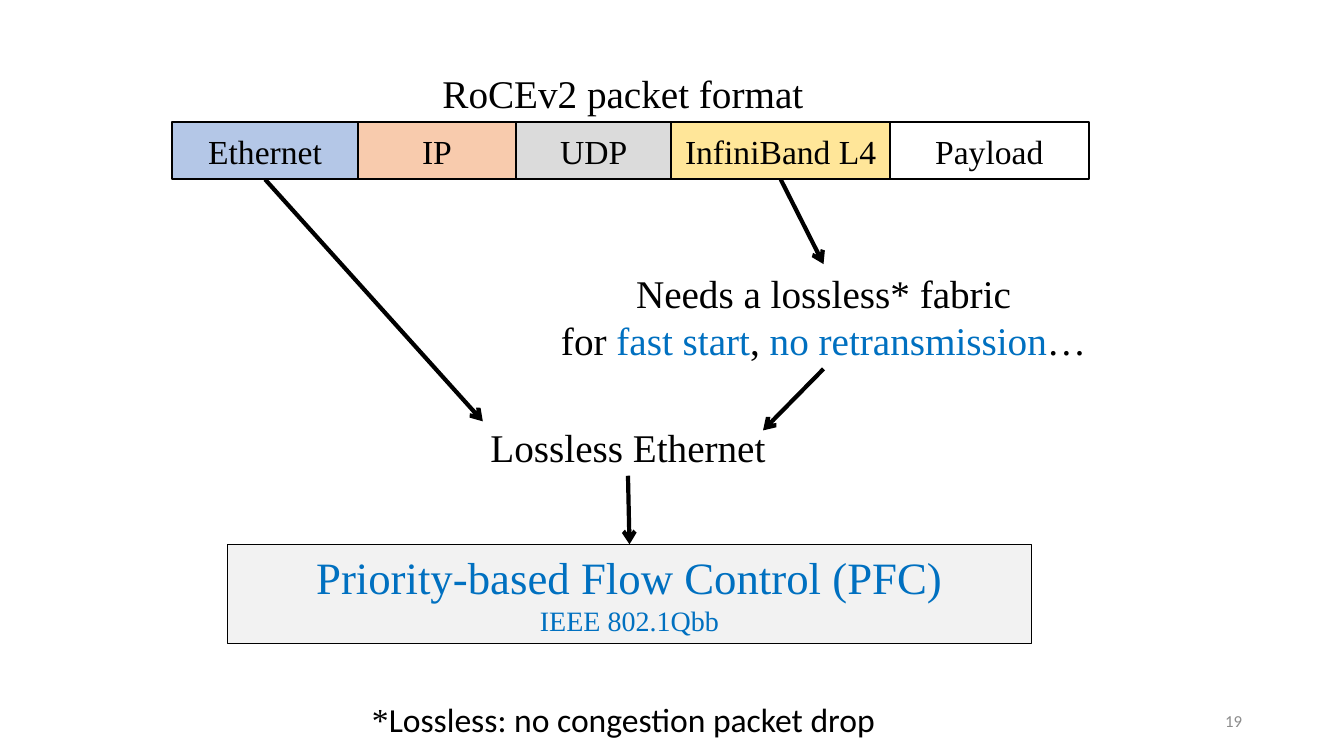
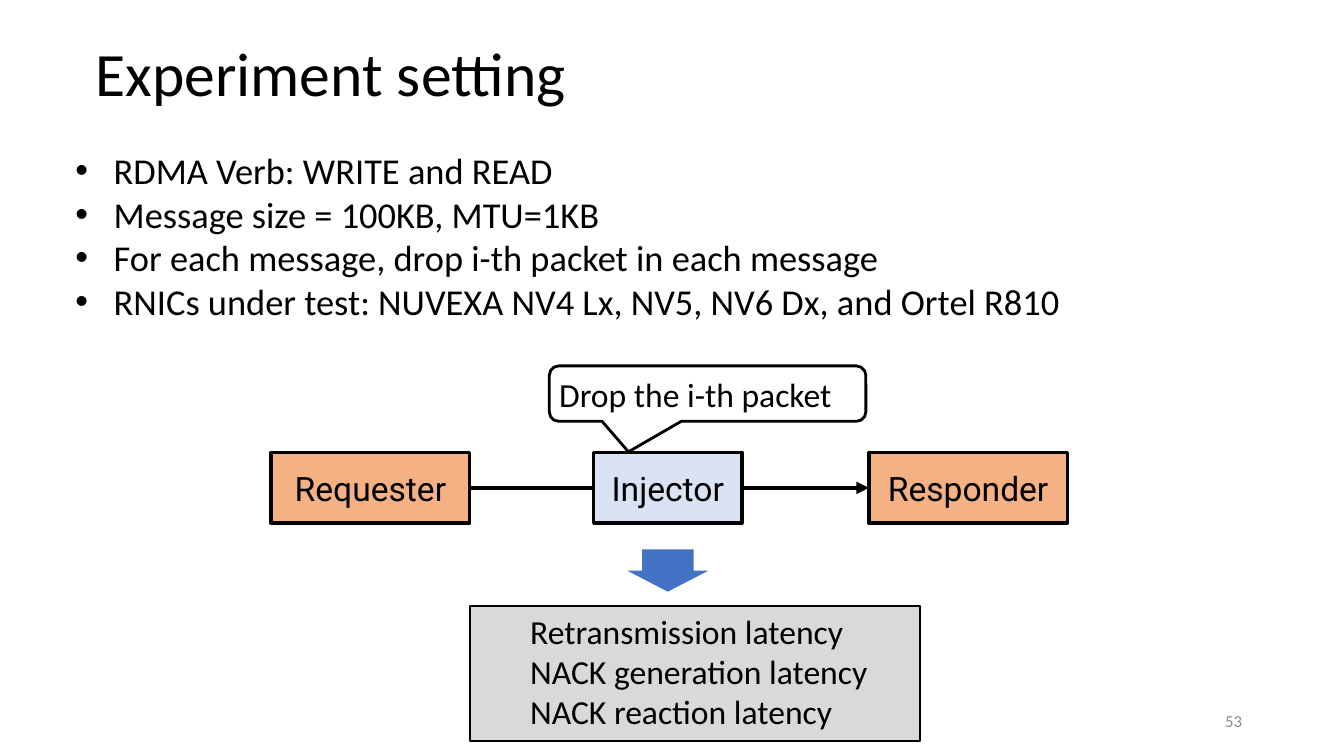
from lxml import etree
from pptx import Presentation, util as u
from pptx.dml.color import RGBColor
from pptx.enum import shapes, text
from pptx.oxml import ns

SHAPE = shapes.MSO_SHAPE
ALIGN = text.PP_ALIGN
ANCHOR = text.MSO_ANCHOR
TOP, LEFT, BOTTOM, RIGHT = range(4)
BLACK, BLUE, GREY = "000000", "0070C0", "8C8C8C"
SERIF, SANS, LABEL = "Times New Roman", "Calibri", "Roboto"


def rgb(value):
    return RGBColor.from_string(value)


def grid(*cells):
    return [u.Inches(c / 10) for c in cells]


def add_xml(parent, tag, **attrs):
    return etree.SubElement(parent, ns.qn(tag), attrs)


class Deck:
    """Holds the style and the current slide, measured in tenth-inch columns and rows."""

    def __init__(self):
        self.prs = Presentation()
        self.prs.slide_width, self.prs.slide_height = grid(133.33, 75)

    def slide(self, number, title=None):
        self.s = self.prs.slides.add_slide(self.prs.slide_layouts[6])
        self.label((94.2, 69.5, 30, 4), [number], 12, SANS, GREY,
                   align=ALIGN.RIGHT, anchor=ANCHOR.MIDDLE)
        if title:
            self.label((8.5, 0.3, 115, 14.5), [title], 44, SANS,
                       align=ALIGN.LEFT, anchor=ANCHOR.MIDDLE, spacing=0.9)

    def fill_text(self, sp, lines, size, font, color=BLACK, align=ALIGN.CENTER,
                  anchor=ANCHOR.TOP, spacing=None, bullet=False, inset=1):
        tf = sp.text_frame
        tf.word_wrap = True
        tf.vertical_anchor = anchor
        tf.margin_left, = grid(inset)
        for i, line in enumerate(lines):
            p = tf.add_paragraph() if i else tf.paragraphs[0]
            p.alignment = align
            if spacing:
                p.line_spacing = spacing
            if bullet:
                indent, = grid(3.8)
                pPr = p._p.get_or_add_pPr()
                pPr.set("marL", str(indent))
                pPr.set("indent", str(-indent))
                add_xml(pPr, "a:buFont", typeface="Arial")
                add_xml(pPr, "a:buChar", char="•")
            p.font.size, p.font.name = u.Pt(size), font
            p.font.color.rgb = rgb(color)
            for run in [(line, {})] if isinstance(line, str) else line:
                self.run(p, *run)

    def run(self, p, words, style):
        r = p.add_run()
        r.text = words
        if "size" in style:
            r.font.size = u.Pt(style["size"])
        if "font" in style:
            r.font.name = style["font"]
        if "color" in style:
            r.font.color.rgb = rgb(style["color"])

    def label(self, at, lines, size, font, color=BLACK, **layout):
        sp = self.s.shapes.add_textbox(*grid(*at))
        self.fill_text(sp, lines, size, font, color, **layout)
        return sp

    def shape(self, at, fill=None, line=None, kind=SHAPE.RECTANGLE, adjust=()):
        sp = self.s.shapes.add_shape(kind, *grid(*at))
        sp.shadow.inherit = False
        for i, value in enumerate(adjust):
            sp.adjustments[i] = value
        if fill:
            sp.fill.solid()
            sp.fill.fore_color.rgb = rgb(fill)
        else:
            sp.fill.background()
        if line:
            sp.line.color.rgb = rgb(BLACK)
            sp.line.width = u.Pt(line)
        else:
            sp.line.fill.background()
        return sp

    def box(self, at, words, fill, line, font):
        sp = self.shape(at, fill, line)
        self.fill_text(sp, [words], 24, font, anchor=ANCHOR.MIDDLE)
        return sp

    def arrow(self, source, side, target, end_side=None, head="arrow"):
        c = self.s.shapes.add_connector(shapes.MSO_CONNECTOR.STRAIGHT, 0, 0, 0, 0)
        c.begin_connect(source, side)
        if end_side is None:
            c.end_x, c.end_y = grid(*target)
        else:
            c.end_connect(target, end_side)
        c.line.color.rgb = rgb(BLACK)
        c.line.width = u.Pt(3)
        spPr = c._element.spPr
        add_xml(spPr.find(ns.qn("a:ln")), "a:tailEnd", type=head)
        add_xml(spPr, "a:effectLst")


def packet_format(d):
    d.slide("19")
    fields = [("Ethernet", 18.4, "B4C7E7"), ("IP", 15.7, "F8CBAD"), ("UDP", 15.4, "DBDBDB"),
              ("InfiniBand L4", 21.7, "FFE699"), ("Payload", 19.7, None)]
    x, boxes = 17.1, {}
    for name, width, fill in fields:
        boxes[name] = d.box((x, 12.1, width, 5.7), name, fill, 1.5, SERIF)
        x += width
    d.label((41.8, 6.4, 40, 5.7), ["RoCEv2 packet format"], 28, SERIF)
    blue = {"color": BLUE}
    need = d.label((54.2, 26.2, 55, 10.4), [
        "Needs a lossless* fabric",
        [("for ", {}), ("fast start", blue), (", ", {}), ("no retransmission", blue), ("…", {})],
    ], 28, SERIF)
    lossless = d.label((38.2, 41.5, 48.2, 5.7), ["Lossless Ethernet"], 28, SERIF)
    pfc = d.shape((22.6, 54, 79.7, 9.8), "F2F2F2", 0.75)
    d.fill_text(pfc, ["Priority-based Flow Control (PFC)", [("IEEE 802.1Qbb", {"size": 20})]],
                32, SERIF, BLUE)
    d.arrow(boxes["InfiniBand L4"], BOTTOM, need, TOP)
    d.arrow(need, BOTTOM, (75.7, 42.7))
    d.arrow(boxes["Ethernet"], BOTTOM, (47.9, 41.8))
    d.arrow(lossless, BOTTOM, pfc, TOP)
    d.label((29.6, 68.8, 64.5, 5), [
        [("*", {"font": SERIF}), ("Lossless: no congestion packet drop", {})]], 24, SANS)


def experiment(d):
    d.slide("53", "Experiment setting")
    d.label((6.5, 14.2, 111.4, 18.5), [
        "RDMA Verb: WRITE and READ",
        "Message size = 100KB, MTU=1KB",
        "For each message, drop i-th packet in each message",
        "RNICs under test: NUVEXA NV4 Lx, NV5, NV6 Dx, and Ortel R810",
    ], 26, SANS, align=ALIGN.LEFT, bullet=True)
    y, height = 44.9, 7
    requester, responder = [
        d.box((x, y, 19.7, height), name, "F4B183", 2.5, LABEL)
        for x, name in [(26.9, "Requester"), (86.2, "Responder")]]
    d.arrow(requester, RIGHT, responder, LEFT, "triangle")
    d.box((58.9, y, 14.7, height), "Injector", "DAE3F3", 2.5, LABEL)
    callout = d.shape((54.5, 36.3, 31.4, 5.5), None, 2,
                      SHAPE.ROUNDED_RECTANGULAR_CALLOUT, (-0.25, 1.05, 0.17))
    d.fill_text(callout, ["Drop the i-th packet"], 24, SANS, align=ALIGN.LEFT,
                anchor=ANCHOR.MIDDLE, inset=0.7)
    d.shape((62.2, 54.5, 8.1, 4.2), "4472C4", kind=SHAPE.DOWN_ARROW, adjust=(0.63, 0.5))
    results = d.shape((46.6, 60.1, 44.7, 13.4), "D9D9D9", 1.5)
    d.fill_text(results, ["Retransmission latency", "NACK generation latency",
                          "NACK reaction latency"],
                24, SANS, align=ALIGN.LEFT, inset=6)


def main():
    d = Deck()
    packet_format(d)
    experiment(d)
    d.prs.save("out.pptx")


if __name__ == "__main__":
    main()
